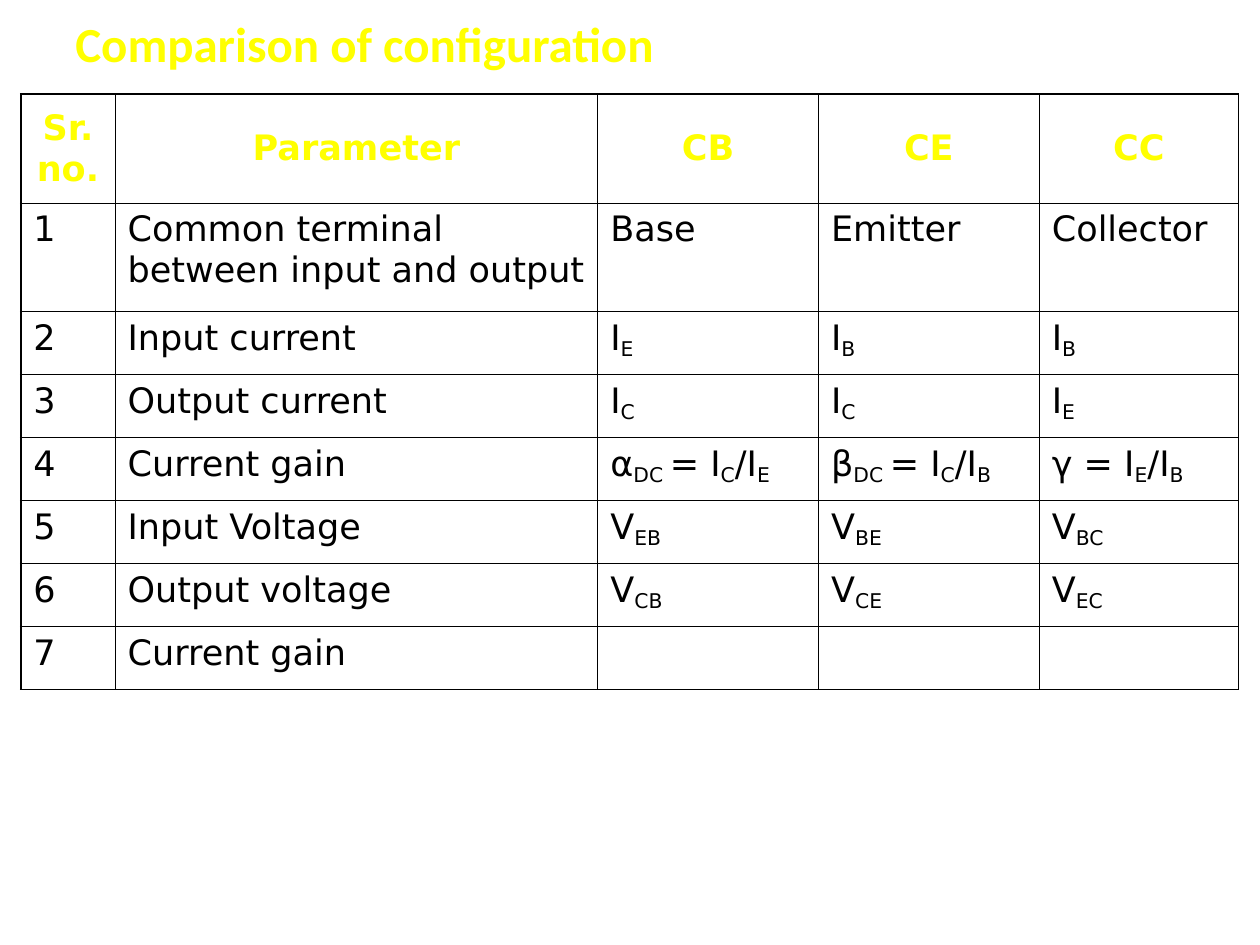
from typing import NamedTuple

from lxml.etree import SubElement
from pptx import Presentation
from pptx.dml.color import RGBColor
from pptx.enum.text import MSO_ANCHOR, PP_ALIGN
from pptx.oxml.ns import qn
from pptx.util import Cm, Pt

YELLOW = RGBColor(0xFF, 0xFF, 0x00)
BLACK = RGBColor(0x00, 0x00, 0x00)

THIN, THICK = Pt(0.45), Pt(1.08)
WIDTHS = (1.9, 9.73, 4.45, 4.45, 4.02)
HEIGHTS = (2.19, 2.19) + (1.27,) * 6


class Row(NamedTuple):
    """One line of the table; text between ~ marks is subscript."""
    name: str
    base: str = ""
    emit: str = ""
    coll: str = ""


HEADS = ("Sr.no.", "Parameter", "CB", "CE", "CC")
ROWS = (
    Row("Common terminal between input and output", "Base", "Emitter", "Collector"),
    Row("Input current", "I~E~", "I~B~", "I~B~"),
    Row("Output current", "I~C~", "I~C~", "I~E~"),
    Row("Current gain", "α~DC ~= I~C~/I~E~", "β~DC ~= I~C~/I~B~", "γ = I~E~/I~B~"),
    Row("Input Voltage", "V~EB~", "V~BE~", "V~BC~"),
    Row("Output voltage", "V~CB~", "V~CE~", "V~EC~"),
    Row("Current gain"),
)

TITLE = {"name": "Calibri", "size": Pt(28), "bold": True}
HEAD = {"name": "DejaVu Sans", "size": Pt(20), "bold": True}
BODY = {**HEAD, "bold": False}


def write(para, text: str, style: dict, color: RGBColor) -> None:
    """Add text as runs, lowering each part between ~ marks."""
    for i, part in enumerate(text.split("~")):
        if not part:
            continue
        run = para.add_run()
        run.text = part
        for key, value in style.items():
            setattr(run.font, key, value)
        run.font.color.rgb = color
        if i % 2:
            run._r.get_or_add_rPr().set("baseline", "-18000")


def frame(cell, lines: dict) -> None:
    """Draw the cell's borders, given the width of each side."""
    props = cell._tc.get_or_add_tcPr()
    for i, (side, width) in enumerate(lines.items()):
        line = SubElement(props, qn(f"a:ln{side}"), w=str(int(width)))
        fill = SubElement(line, qn("a:solidFill"))
        SubElement(fill, qn("a:srgbClr"), val=str(BLACK))
        props.insert(i, line)


def fill_cell(cell, text: str, head: bool) -> None:
    """Put text in a cell, in head or body style."""
    cell.fill.background()
    para = cell.text_frame.paragraphs[0]
    if head:
        cell.vertical_anchor = MSO_ANCHOR.MIDDLE
        para.alignment = PP_ALIGN.CENTER
    write(para, text, HEAD if head else BODY, YELLOW if head else BLACK)


def add_title(slide) -> None:
    box = slide.shapes.add_textbox(Cm(1.27), Cm(0.2), Cm(22.86), Cm(1.35))
    text = box.text_frame
    text.word_wrap = True
    text.vertical_anchor = MSO_ANCHOR.MIDDLE
    write(text.paragraphs[0], "Comparison of configuration", TITLE, YELLOW)


def add_grid(slide) -> None:
    data = [HEADS] + [(str(n), *row) for n, row in enumerate(ROWS, 1)]
    shape = slide.shapes.add_table(
        len(data), len(HEADS), Cm(0.42), Cm(1.9),
        Cm(sum(WIDTHS)), Cm(sum(HEIGHTS)))
    table = shape.table
    table.first_row = table.horz_banding = False
    for col, width in zip(table.columns, WIDTHS):
        col.width = Cm(width)
    for row, height in zip(table.rows, HEIGHTS):
        row.height = Cm(height)

    # Thick lines run round the outer edge only
    for r, texts in enumerate(data):
        for c, text in enumerate(texts):
            cell = table.cell(r, c)
            fill_cell(cell, text, head=r == 0)
            edges = {"L": c == 0, "R": c == len(HEADS) - 1,
                     "T": r == 0, "B": r == len(data) - 1}
            frame(cell, {side: THICK if edge else THIN
                         for side, edge in edges.items()})


def main() -> None:
    deck = Presentation()
    deck.slide_width, deck.slide_height = Cm(25.4), Cm(19.05)
    slide = deck.slides.add_slide(deck.slide_layouts[6])
    add_title(slide)
    add_grid(slide)
    deck.save("out.pptx")


if __name__ == "__main__":
    main()
